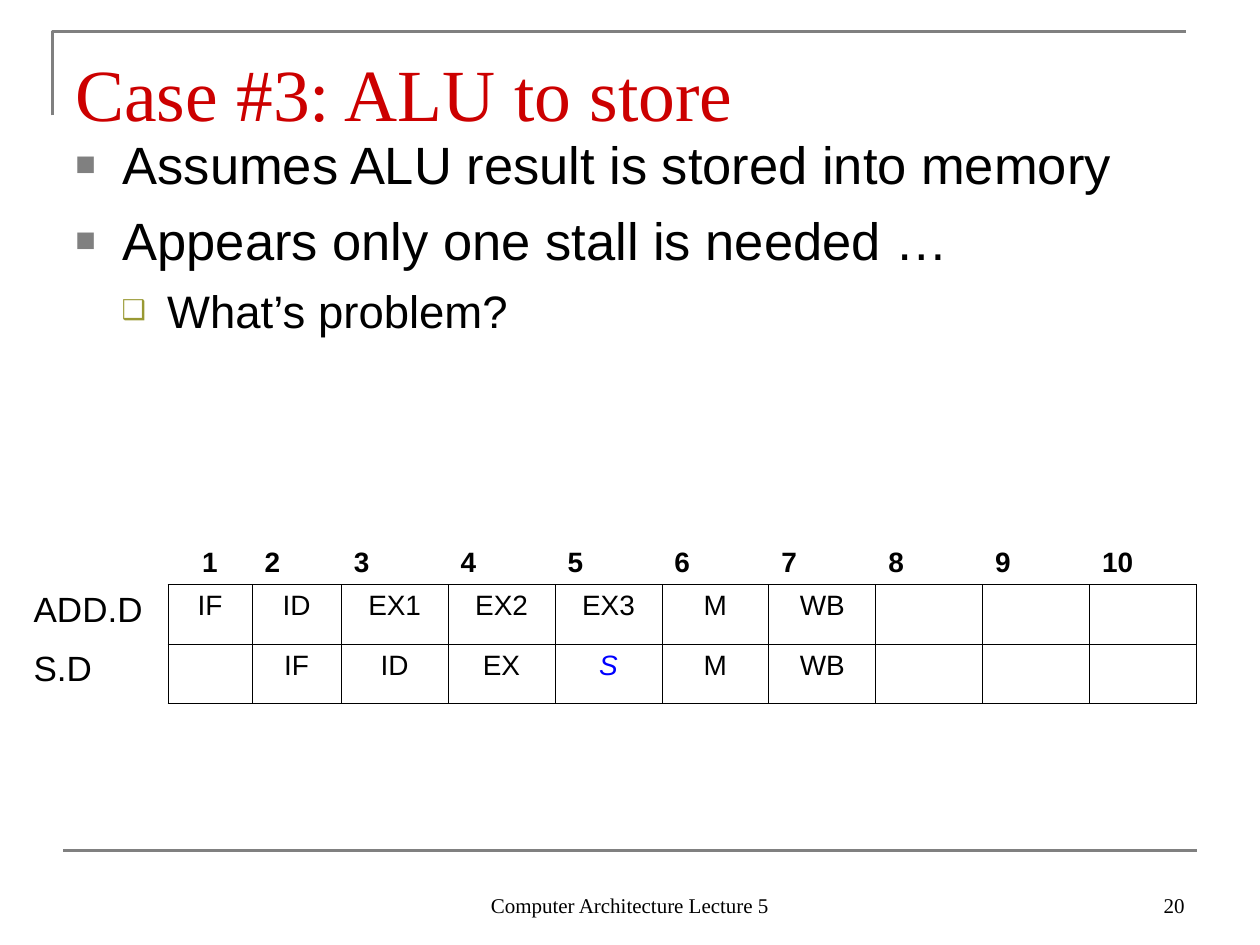
"""Build the lecture slide on the ALU-to-store pipeline hazard."""
from lxml import etree
from pptx import Presentation
from pptx.dml.color import RGBColor
from pptx.enum import shapes, text
from pptx.oxml import ns
from pptx.util import Pt

TITLE = "Case #3: ALU to store"
BULLETS = [
    (0, "Assumes ALU result is stored into memory"),
    (0, "Appears only one stall is needed …"),
    (1, "What’s problem?"),
]
FOOTER, NUMBER = "Computer Architecture Lecture 5", "20"
PIPELINE = [
    ["", "1", "2", "3", "4", "5", "6", "7", "8", "9", "10"],
    ["ADD.D", "IF", "ID", "EX1", "EX2", "EX3", "M", "WB", "", "", ""],
    ["S.D", "", "IF", "ID", "EX", "S", "M", "WB", "", "", ""],
]
COLUMNS = [84, 48, 51] + [61.1] * 8
ROW_HEIGHT = 34
STALL = "S"
LEVELS = [
    dict(size=30, char="■", color="808080", percent=65, left=27, hang=27, before=7.5),
    dict(size=26, char="❑", color="999933", percent=60, left=52.5, hang=26, before=6.5),
]
THEME = dict(
    serif="Times New Roman", sans="Arial",
    ink="000000", paper="FFFFFF", title="CC0000", rule="808080", stall="0000FF",
    title_size=42, small=12, stage=16, label=20, rule_width=1.5, border=0.45,
)
ALIGN, ANCHOR = text.PP_ALIGN, text.MSO_ANCHOR


def rgb(value):
    return RGBColor.from_string(value)


def add_child(parent, tag, **attributes):
    return etree.SubElement(parent, ns.qn(tag), attributes)


def style(para, face, size, color, align=ALIGN.LEFT, bold=False, italic=False):
    para.alignment = align
    font = para.font
    font.name, font.size, font.bold, font.italic = face, Pt(size), bold, italic
    font.color.rgb = rgb(color)


def add_box(page, left, top, width, height, anchor=ANCHOR.TOP):
    frame = page.shapes.add_textbox(Pt(left), Pt(top), Pt(width), Pt(height)).text_frame
    frame.word_wrap = True
    frame.vertical_anchor = anchor
    return frame


def set_rule(line):
    line.color.rgb = rgb(THEME["rule"])
    line.width = Pt(THEME["rule_width"])


def add_rules(page):
    builder = page.shapes.build_freeform(Pt(30), Pt(66), scale=1.0)
    builder.add_line_segments([(Pt(30), Pt(18)), (Pt(678), Pt(18))], close=False)
    corner = builder.convert_to_shape()
    corner.shadow.inherit = False
    corner.fill.background()
    set_rule(corner.line)
    base = page.shapes.add_connector(
        shapes.MSO_CONNECTOR.STRAIGHT, Pt(36), Pt(486), Pt(684), Pt(486))
    set_rule(base.line)
    add_child(base._element.spPr, "a:effectLst")


def add_bullets(page):
    frame = add_box(page, 36, 72, 648, 234)
    for index, (depth, words) in enumerate(BULLETS):
        level = LEVELS[depth]
        para = frame.add_paragraph() if index else frame.paragraphs[0]
        para.text, para.level = words, depth
        if index:
            para.space_before = Pt(level["before"])
        props = para._p.get_or_add_pPr()
        props.set("marL", str(Pt(level["left"])))
        props.set("indent", str(-Pt(level["hang"])))
        add_child(add_child(props, "a:buClr"), "a:srgbClr", val=level["color"])
        add_child(props, "a:buSzPct", val=str(level["percent"] * 1000))
        add_child(props, "a:buFont", typeface=THEME["sans"])
        add_child(props, "a:buChar", char=level["char"])
        style(para, THEME["sans"], level["size"], THEME["ink"])


def set_borders(cell, row, column):
    """Draw black edges wherever the cell touches the stage grid."""
    inside = row > 0 and column > 0
    black = {
        "a:lnL": inside, "a:lnR": inside or row > 0,
        "a:lnT": inside, "a:lnB": inside or column > 0,
    }
    props = cell._tc.get_or_add_tcPr()
    for place, (tag, dark) in enumerate(black.items()):
        edge = etree.Element(ns.qn(tag), w=str(Pt(THEME["border"])))
        color = THEME["ink"] if dark else THEME["paper"]
        add_child(add_child(edge, "a:solidFill"), "a:srgbClr", val=color)
        props.insert(place, edge)


def add_pipeline(page):
    table = page.shapes.add_table(
        len(PIPELINE), len(COLUMNS), Pt(12), Pt(300),
        Pt(sum(COLUMNS)), Pt(ROW_HEIGHT * len(PIPELINE))).table
    table.first_row = table.horz_banding = False
    for column, width in zip(table.columns, COLUMNS):
        column.width = Pt(width)
    for r, row in enumerate(PIPELINE):
        table.rows[r].height = Pt(ROW_HEIGHT)
        for c, words in enumerate(row):
            cell = table.cell(r, c)
            cell.fill.background()
            set_borders(cell, r, c)
            cell.vertical_anchor = ANCHOR.TOP if r else ANCHOR.BOTTOM
            para = cell.text_frame.paragraphs[0]
            para.text = words
            stalled = words == STALL
            centered = c == 1 or (r > 0 and c > 0)
            style(para, THEME["sans"], THEME["stage" if c else "label"],
                  THEME["stall" if stalled else "ink"],
                  ALIGN.CENTER if centered else ALIGN.LEFT,
                  bold=r == 0, italic=stalled)


def main():
    deck = Presentation()
    deck.slide_width, deck.slide_height = Pt(720), Pt(540)
    page = deck.slides.add_slide(deck.slide_layouts[6])
    add_rules(page)
    heading = add_box(page, 36, 21.6, 648, 56.2, ANCHOR.BOTTOM)
    heading.margin_bottom = 0
    heading.text = TITLE
    style(heading.paragraphs[0], THEME["serif"], THEME["title_size"], THEME["title"])
    add_bullets(page)
    for words, left, width, align in [
        (FOOTER, 246, 228, ALIGN.CENTER), (NUMBER, 516, 168, ALIGN.RIGHT),
    ]:
        frame = add_box(page, left, 492, width, 36, ANCHOR.BOTTOM)
        frame.text = words
        style(frame.paragraphs[0], THEME["serif"], THEME["small"], THEME["ink"], align)
    add_pipeline(page)
    deck.save("out.pptx")


if __name__ == "__main__":
    main()
